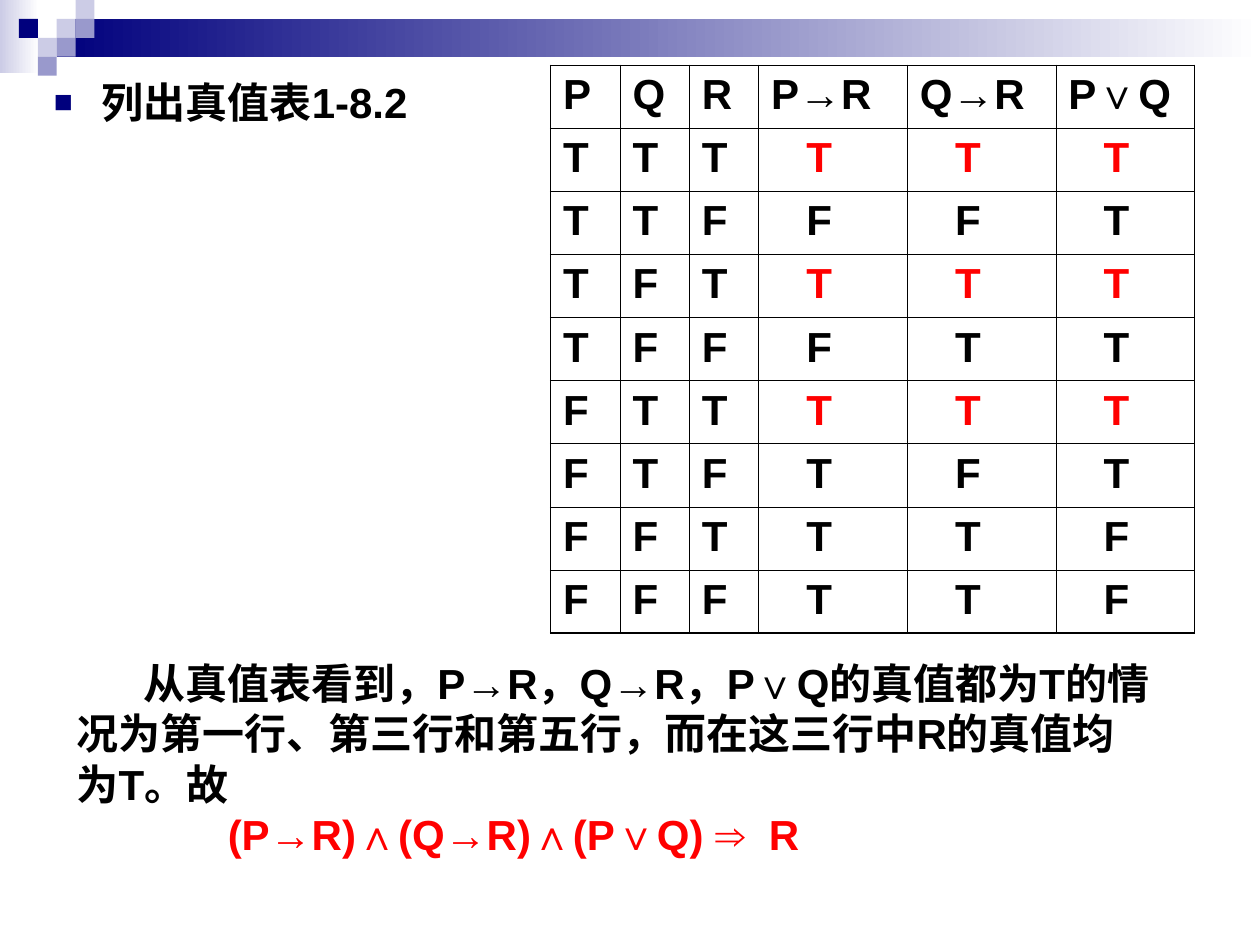
from itertools import product

from lxml.etree import SubElement as Sub
from pptx import Presentation
from pptx.dml.color import RGBColor
from pptx.enum.shapes import MSO_SHAPE as Shape
from pptx.oxml.ns import qn
from pptx.util import Inches, Pt

NAVY, MID, PALE = "00007D", "9999CC", "CCCCE6"
BLACK, RED, WHITE = "000000", "FF0000", "FFFFFF"
UNIT = 0.15
SQUARES = [(3, 1, PALE), (4, 0, PALE), (4, 1, MID), (2, 2, PALE),
           (1, 1, NAVY), (3, 2, MID), (2, 3, MID)]
HEADS = ["P", "Q", "R", "P→R", "Q→R", "P∨Q"]
WIDTHS = [0.55, 0.55, 0.55, 1.18, 1.18, 1.1]
ROW = 0.5
THIN, THICK = 0.45, 1.08


def rgb(code):
    return RGBColor.from_string(code)


def write(para, text, color=BLACK, size=24, bold=True, indent=0, first=0):
    """Fill a paragraph; indent and first-line offset are in inches."""
    props = para._p.get_or_add_pPr()
    props.set("marL", str(Inches(indent)))
    props.set("indent", str(Inches(first)))
    run = para.add_run()
    run.text = text
    font = run.font
    font.name, font.size, font.bold = "Arial", Pt(size), bold
    font.color.rgb = rgb(color)


def bullet(para, char, color, percent):
    props = para._p.get_or_add_pPr()
    tint = Sub(props, qn("a:buClr"))
    Sub(tint, qn("a:srgbClr"), val=color)
    Sub(props, qn("a:buSzPct"), val=str(percent * 1000))
    Sub(props, qn("a:buFont"), typeface="Arial")
    Sub(props, qn("a:buChar"), char=char)


def block(slide, left, top, width, height, *colors):
    """Draw a rectangle in one colour, or fading from one to another."""
    box = slide.shapes.add_shape(Shape.RECTANGLE, Inches(left), Inches(top),
                                 Inches(width), Inches(height))
    box.shadow.inherit = False
    box.line.fill.background()
    if len(colors) == 1:
        box.fill.solid()
        box.fill.fore_color.rgb = rgb(colors[0])
        return
    box.fill.gradient()
    box.fill.gradient_angle = 0
    for stop, color, place in zip(box.fill.gradient_stops, colors, (0, 1)):
        stop.color.rgb = rgb(color)
        stop.position = place


def banner(slide):
    block(slide, 0, 0, 0.31, 0.58, PALE, WHITE)
    block(slide, 3 * UNIT, UNIT, 9.55, 2 * UNIT, NAVY, WHITE)
    for col, row, color in SQUARES:
        block(slide, col * UNIT, row * UNIT, UNIT, UNIT, color)


def textbox(slide, left, top, width, height):
    box = slide.shapes.add_textbox(Inches(left), Inches(top),
                                   Inches(width), Inches(height))
    box.text_frame.word_wrap = True
    return box.text_frame


def border(cell, outer):
    """Line all four sides; the sides named in outer are thicker."""
    props = cell._tc.get_or_add_tcPr()
    for side in "LRTB":
        width = THICK if side in outer else THIN
        line = Sub(props, qn("a:ln" + side), w=str(Pt(width)))
        fill = Sub(line, qn("a:solidFill"))
        Sub(fill, qn("a:srgbClr"), val=BLACK)


def truths():
    """Yield each row of letters and whether all three premises hold."""
    for p, q, r in product((True, False), repeat=3):
        tests = [not p or r, not q or r, p or q]
        yield ["T" if v else "F" for v in (p, q, r, *tests)], all(tests)


def grid(slide, left, top):
    rows = [(HEADS, False), *truths()]
    last, end = len(rows) - 1, len(HEADS) - 1
    table = slide.shapes.add_table(
        len(rows), len(HEADS), Inches(left), Inches(top),
        Inches(sum(WIDTHS)), Inches(ROW * len(rows))).table
    table.first_row = table.horz_banding = False
    for col, width in zip(table.columns, WIDTHS):
        col.width = Inches(width)
    for i, (words, holds) in enumerate(rows):
        table.rows[i].height = Inches(ROW)
        for j, word in enumerate(words):
            cell = table.cell(i, j)
            edges = {"T": i == 0, "B": i == last, "L": j == 0, "R": j == end}
            border(cell, [side for side, on in edges.items() if on])
            cell.fill.background()
            result = i > 0 and j > 2
            write(cell.text_frame.paragraphs[0], word,
                  color=RED if result and holds else BLACK,
                  indent=0.28 if result else 0)


def main():
    deck = Presentation()
    deck.slide_width, deck.slide_height = Inches(10), Inches(7.5)
    slide = deck.slides.add_slide(deck.slide_layouts[6])
    banner(slide)

    title = textbox(slide, 0.33, 0.6, 3.17, 0.79).paragraphs[0]
    title.line_spacing = 0.9
    bullet(title, "■", NAVY, 75)
    write(title, "列出真值表1-8.2", indent=0.38, first=-0.38)

    grid(slide, 4.37, 0.52)

    notes = textbox(slide, 0.51, 5.17, 8.74, 1.7)
    write(notes.paragraphs[0],
          "从真值表看到，P→R，Q→R，P∨Q的真值都为T的情况为第一行、"
          "第三行和第五行，而在这三行中R的真值均为T。故", first=0.53)
    write(notes.add_paragraph(), "(P→R)∧(Q→R)∧(P∨Q) ⇒  R",
          color=RED, first=1.2)
    deck.save("out.pptx")


if __name__ == "__main__":
    main()
